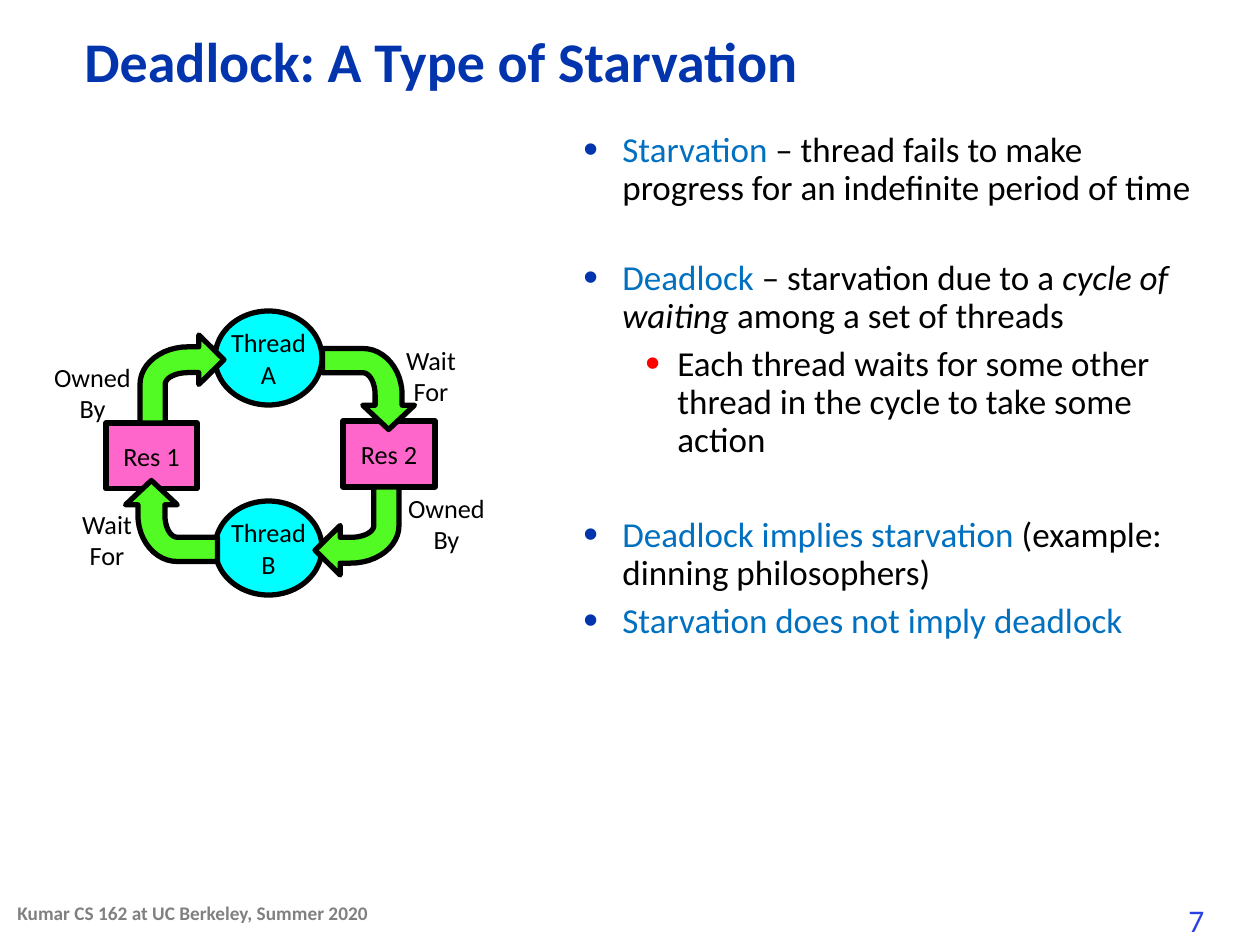
"""Build the slide that presents deadlock as a type of starvation."""
from math import cos, pi, sin

from lxml.etree import SubElement
from pptx import Presentation
from pptx.dml.color import RGBColor
from pptx.enum.shapes import MSO_SHAPE as Preset
from pptx.enum.text import MSO_ANCHOR as Anchor, PP_ALIGN as Align
from pptx.oxml.ns import qn
from pptx.util import Emu, Pt

PX = 914400 / 126
BLACK, BLUE, NAVY, RED = "000000", "0070C0", "0234AD", "FF0000"
PINK, CYAN, GREEN = "FF66CC", "00FFFF", "53FB25"


def color(hex_string):
    return RGBColor.from_string(hex_string)


def write(paragraph, text, size, hex_string=BLACK, **styles):
    run = paragraph.add_run()
    run.text = text
    run.font.color.rgb = color(hex_string)
    for name, value in {"name": "Calibri", "size": Pt(size), **styles}.items():
        setattr(run.font, name, value)


presentation = Presentation()
presentation.slide_width, presentation.slide_height = Emu(9144000), Emu(6858000)
slide = presentation.slides.add_slide(presentation.slide_layouts[6])
shapes = slide.shapes

single_lines = [
    ((1176, 895, 64, 50), "7", 18, "2A40E2", {}, False, Anchor.TOP),
    ((72, 24, 987, 73), "Deadlock: A Type of Starvation", 32, NAVY, {"bold": True}, True, Anchor.MIDDLE),
    ((5, 895, 567, 50), "Kumar CS 162 at UC Berkeley, Summer 2020", 11, "808080", {"bold": True}, True, Anchor.TOP),
]
for box, text, size, hex_string, styles, wrap, anchor in single_lines:
    frame = shapes.add_textbox(*[Emu(round(v * PX)) for v in box]).text_frame
    frame.word_wrap, frame.vertical_anchor = wrap, anchor
    write(frame.paragraphs[0], text, size, hex_string, **styles)

bullets = [
    (0, 0, [("Starvation", BLUE, {}),
            (" – thread fails to make progress for an indefinite period of time", BLACK, {})]),
    (0, 30, [("Deadlock", BLUE, {}), (" – starvation due to a ", BLACK, {}),
             ("cycle of waiting", BLACK, {"italic": True}), (" among a set of threads", BLACK, {})]),
    (1, 6, [("Each thread waits for some other thread in the cycle to take some action", BLACK, {})]),
    (0, 33, [("Deadlock implies starvation ", BLUE, {}), ("(example: dinning philosophers)", BLACK, {})]),
    (0, 6, [("Starvation does not imply deadlock", BLUE, {})]),
]
levels = [(39, 39, NAVY), (94, 32, RED)]
body = shapes.add_textbox(*[Emu(round(v * PX)) for v in (571, 126, 634, 703)]).text_frame
body.word_wrap = True
for index, (level, space, runs) in enumerate(bullets):
    paragraph = body.add_paragraph() if index else body.paragraphs[0]
    margin, hanging, bullet_color = levels[level]
    properties = paragraph._p.get_or_add_pPr()
    properties.set("marL", str(round(margin * PX)))
    properties.set("indent", str(round(-hanging * PX)))
    SubElement(SubElement(properties, qn("a:buClr")), qn("a:srgbClr"), val=bullet_color)
    SubElement(properties, qn("a:buSzPct"), val="120000")
    SubElement(properties, qn("a:buFont"), typeface="Arial")
    SubElement(properties, qn("a:buChar"), char="•")
    for name, value in {"level": level, "line_spacing": 0.9, "space_before": Pt(space)}.items():
        setattr(paragraph, name, value)
    for text, hex_string, styles in runs:
        write(paragraph, text, 20, hex_string, **styles)

arc = [i * pi / 24 for i in range(13)]
outline = [(21600, 6079), (15126, 0), (15126, 2912)]
outline += [(12427 - 12427 * sin(a), 12158 - 9246 * cos(a)) for a in arc]
outline += [(0, 21600), (6474, 21600)]
outline += [(12427 - 5953 * cos(a), 12158 - 2912 * sin(a)) for a in arc]
outline += [(15126, 9246), (15126, 12158)]

diagram = [
    (Preset.RECTANGLE, (343, 421, 92, 66), PINK, ["Res 2"]),
    (Preset.RECTANGLE, (106, 423, 91, 66), PINK, ["Res 1"]),
    (Preset.OVAL, (215, 501, 107, 94), CYAN, ["Thread", "B"]),
    (Preset.OVAL, (215, 311, 107, 94), CYAN, ["Thread", "A"]),
    (0, (140, 335, 84, 88), GREEN, []),
    (90, (328, 343, 81, 92), GREEN, []),
    (180, (315, 487, 84, 88), GREEN, []),
    (270, (131, 475, 81, 92), GREEN, []),
    (None, (393, 338, 76, 77), None, ["Wait", "For"]),
    (None, (69, 502, 76, 77), None, ["Wait", "For"]),
    (None, (395, 486, 103, 77), None, ["Owned", "By"]),
    (None, (41, 355, 103, 77), None, ["Owned", "By"]),
]
for kind, box, fill, lines in diagram:
    left, top, width, height = [Emu(round(v * PX)) for v in box]
    if kind is None:
        shape = shapes.add_textbox(left, top, width, height)
    elif lines:
        shape = shapes.add_shape(kind, left, top, width, height)
    else:
        builder = shapes.build_freeform(*outline[0], scale=(width / 21600, height / 21600))
        builder.add_line_segments(outline[1:], close=True)
        shape = builder.convert_to_shape(left, top)
        shape.rotation = kind
    if fill:
        shape.shadow.inherit = False
        shape.fill.solid()
        shape.fill.fore_color.rgb = color(fill)
        shape.line.color.rgb = color(BLACK)
        shape.line.width = Pt(3)
    frame = shape.text_frame
    frame.word_wrap = False
    frame.vertical_anchor = Anchor.MIDDLE if fill else Anchor.TOP
    for index, text in enumerate(lines):
        paragraph = frame.add_paragraph() if index else frame.paragraphs[0]
        paragraph.alignment = Align.CENTER
        write(paragraph, text, 15)

presentation.save("out.pptx")
